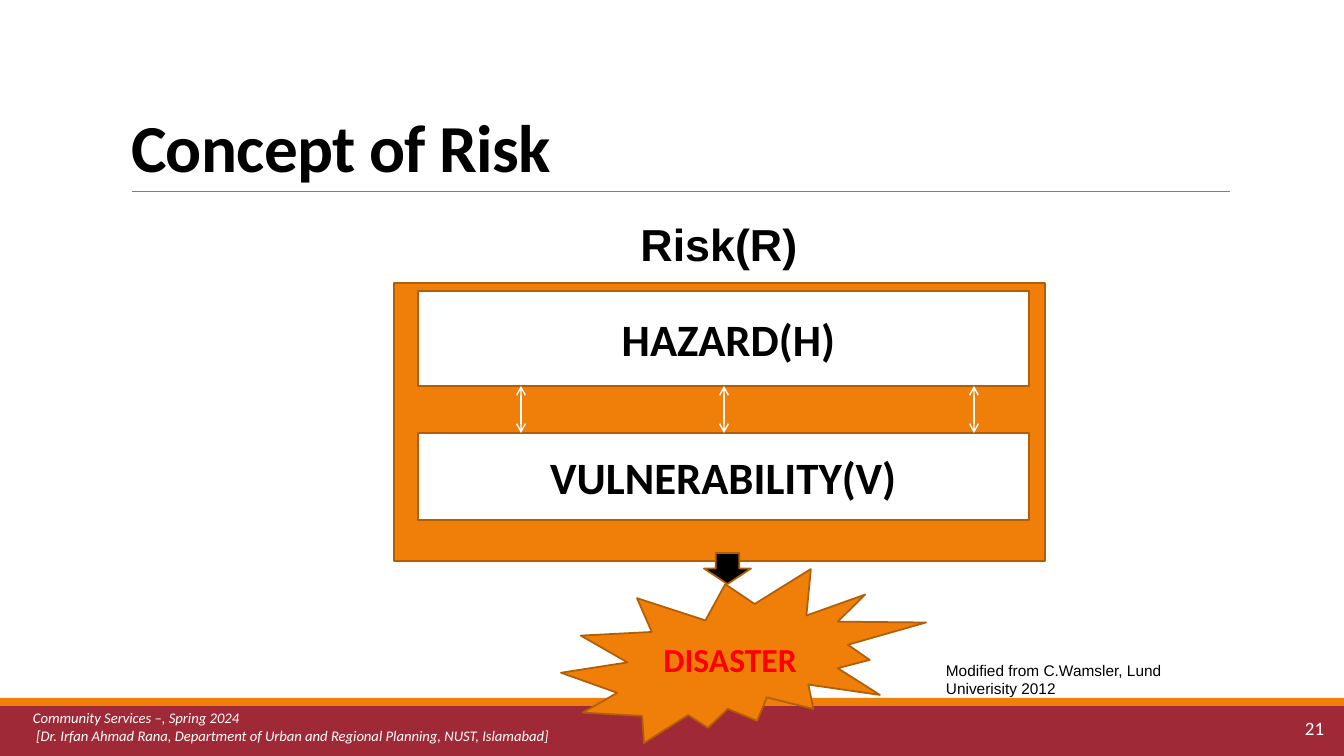
from dataclasses import dataclass
from typing import Optional

import pptx
import pptx.dml.color
import pptx.enum.shapes
import pptx.enum.text
import pptx.oxml
import pptx.oxml.ns
import pptx.util

RGB = pptx.dml.color.RGBColor
KIND = pptx.enum.shapes.MSO_SHAPE
ALIGN = pptx.enum.text.PP_ALIGN
ANCHOR = pptx.enum.text.MSO_ANCHOR

WIDE, HIGH = 1344, 756
SCALE = 12192000 / WIDE

WHITE = RGB(0xFF, 0xFF, 0xFF)
BLACK = RGB(0, 0, 0)
RED = RGB(0xFF, 0, 0)
GRAY = RGB(0x80, 0x80, 0x80)
WINE = RGB(0x9F, 0x29, 0x36)
ORANGE = RGB(0xF0, 0x7F, 0x09)
BROWN = RGB(0xB2, 0x5E, 0x07)


@dataclass(frozen=True)
class Area:
    left: int
    top: int
    width: int
    height: int


@dataclass(frozen=True)
class Label:
    words: str
    size: float
    color: RGB = BLACK
    font: str = "Calibri"
    bold: bool = False
    italic: bool = False
    align: ALIGN = ALIGN.LEFT
    anchor: ANCHOR = ANCHOR.TOP


@dataclass(frozen=True)
class Block:
    kind: KIND
    area: Area
    fill: RGB
    edge: Optional[RGB] = BROWN
    label: Optional[Label] = None


@dataclass(frozen=True)
class Note:
    area: Area
    label: Label


def mid(words: str, size: float, color: RGB = BLACK) -> Label:
    """Bold label centred both ways."""
    return Label(words, size, color, bold=True, align=ALIGN.CENTER, anchor=ANCHOR.MIDDLE)


TITLE = Note(
    Area(121, 31, 1109, 160),
    Label("Concept of Risk", 48, bold=True, anchor=ANCHOR.BOTTOM),
)
BANDS = [
    Block(KIND.RECTANGLE, Area(0, 706, WIDE, 50), WINE, None),
    Block(KIND.RECTANGLE, Area(0, 698, WIDE, 8), ORANGE, None),
]
MODEL = [
    Block(KIND.RECTANGLE, Area(394, 283, 651, 278), ORANGE),
    Block(KIND.RECTANGLE, Area(418, 291, 611, 95), WHITE, label=mid(" HAZARD(H)", 32)),
    Block(KIND.RECTANGLE, Area(418, 433, 611, 87), WHITE, label=mid("VULNERABILITY(V)", 32)),
    Block(KIND.EXPLOSION2, Area(561, 569, 365, 174), ORANGE, label=mid("DISASTER", 24, RED)),
    Block(KIND.DOWN_ARROW, Area(704, 553, 47, 31), BLACK),
]
NOTES = [
    Note(
        Area(23, 704, 850, 45),
        Label(
            "Community Services –, Spring 2024\n"
            " [Dr. Irfan Ahmad Rana, Department of Urban and Regional Planning, NUST, Islamabad]",
            10.5, WHITE, italic=True,
        ),
    ),
    Note(Area(1210, 712, 124, 33), Label("21", 13.5, WHITE, align=ALIGN.RIGHT)),
    Note(Area(560, 212, 318, 65), Label("Risk(R)", 32, font="Arial", bold=True, align=ALIGN.CENTER)),
    Note(Area(936, 656, 254, 47), Label("Modified from C.Wamsler, Lund Univerisity 2012", 11, font="Arial")),
]
LINKS = [521, 724, 974]


def emu(px: int) -> pptx.util.Emu:
    return pptx.util.Emu(round(px * SCALE))


def spot(area: Area) -> tuple:
    return emu(area.left), emu(area.top), emu(area.width), emu(area.height)


def write(shape, label: Label) -> None:
    frame = shape.text_frame
    frame.text = label.words
    frame.word_wrap = True
    frame.auto_size = pptx.enum.text.MSO_AUTO_SIZE.NONE
    frame.vertical_anchor = label.anchor
    for para in frame.paragraphs:
        para.alignment = label.align
        font = para.font
        font.name = label.font
        font.size = pptx.util.Pt(label.size)
        font.bold = label.bold
        font.italic = label.italic
        font.color.rgb = label.color


def block(slide, item: Block) -> None:
    shape = slide.shapes.add_shape(item.kind, *spot(item.area))
    shape.shadow.inherit = False
    shape.fill.solid()
    shape.fill.fore_color.rgb = item.fill
    if item.edge is None:
        shape.line.fill.background()
    else:
        shape.line.color.rgb = item.edge
        shape.line.width = pptx.util.Pt(1.25)
    if item.label:
        write(shape, item.label)


def note(slide, item: Note) -> None:
    write(slide.shapes.add_textbox(*spot(item.area)), item.label)


def line(slide, start: tuple, end: tuple, color: RGB, width: float, ends: tuple = ()) -> None:
    """Straight line with an open arrow at each named end."""
    link = slide.shapes.add_connector(
        pptx.enum.shapes.MSO_CONNECTOR.STRAIGHT, *map(emu, start + end)
    )
    link.line.color.rgb = color
    link.line.width = pptx.util.Pt(width)
    for end_tag in ends:
        head = pptx.oxml.parse_xml(f'<a:{end_tag} {pptx.oxml.ns.nsdecls("a")} type="arrow"/>')
        link.line._get_or_add_ln().append(head)
    flat = pptx.oxml.parse_xml(f'<a:effectLst {pptx.oxml.ns.nsdecls("a")}/>')
    link._element.spPr.append(flat)


def title(slide) -> None:
    shape = slide.shapes.title
    shape.left, shape.top, shape.width, shape.height = spot(TITLE.area)
    write(shape, TITLE.label)
    para = shape.text_frame.paragraphs[0]
    para.line_spacing = 0.85
    para.runs[0]._r.get_or_add_rPr().set("spc", "-50")


def main() -> None:
    deck = pptx.Presentation()
    deck.slide_width, deck.slide_height = emu(WIDE), emu(HIGH)
    slide = deck.slides.add_slide(deck.slide_layouts[5])
    title(slide)
    for item in BANDS:
        block(slide, item)
    line(slide, (132, 191), (1230, 191), GRAY, 0.5)
    for item in MODEL:
        block(slide, item)
    for x in LINKS:
        line(slide, (x, 386), (x, 433), WHITE, 1, ("headEnd", "tailEnd"))
    for item in NOTES:
        note(slide, item)
    deck.save("out.pptx")


if __name__ == "__main__":
    main()
